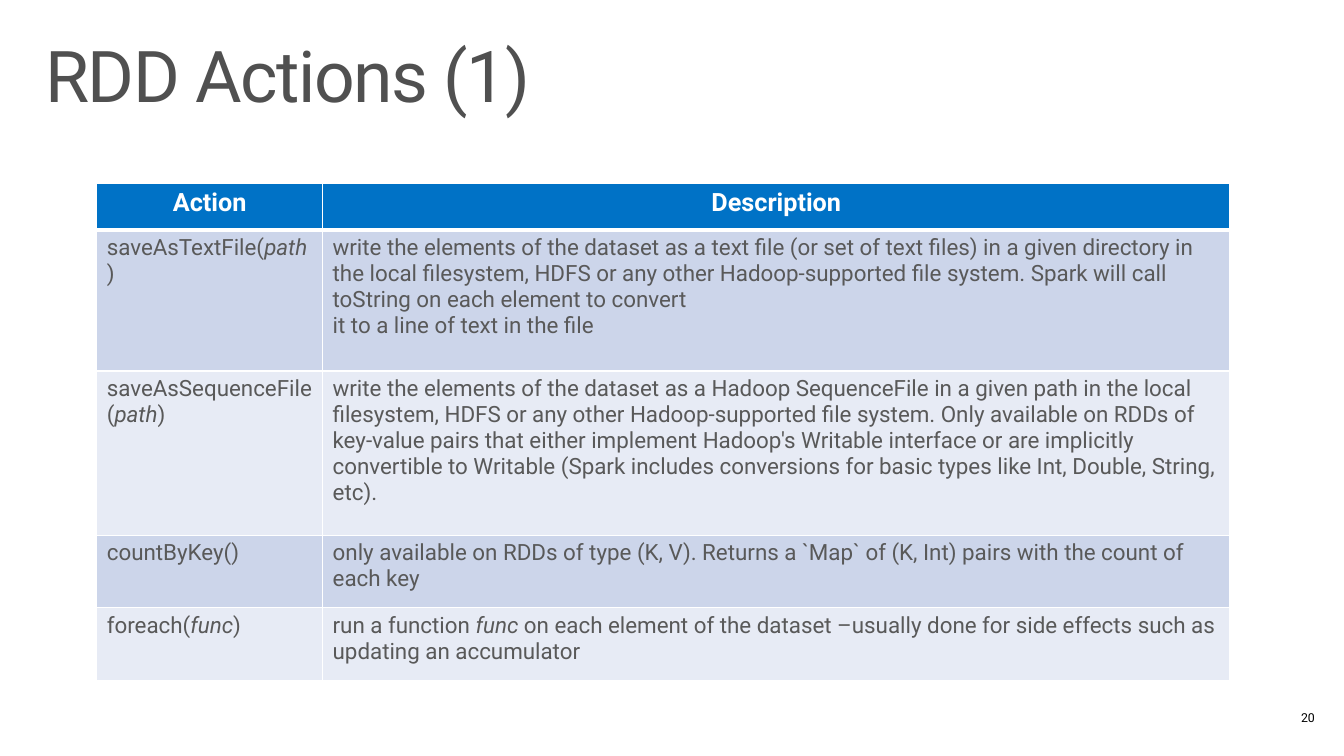
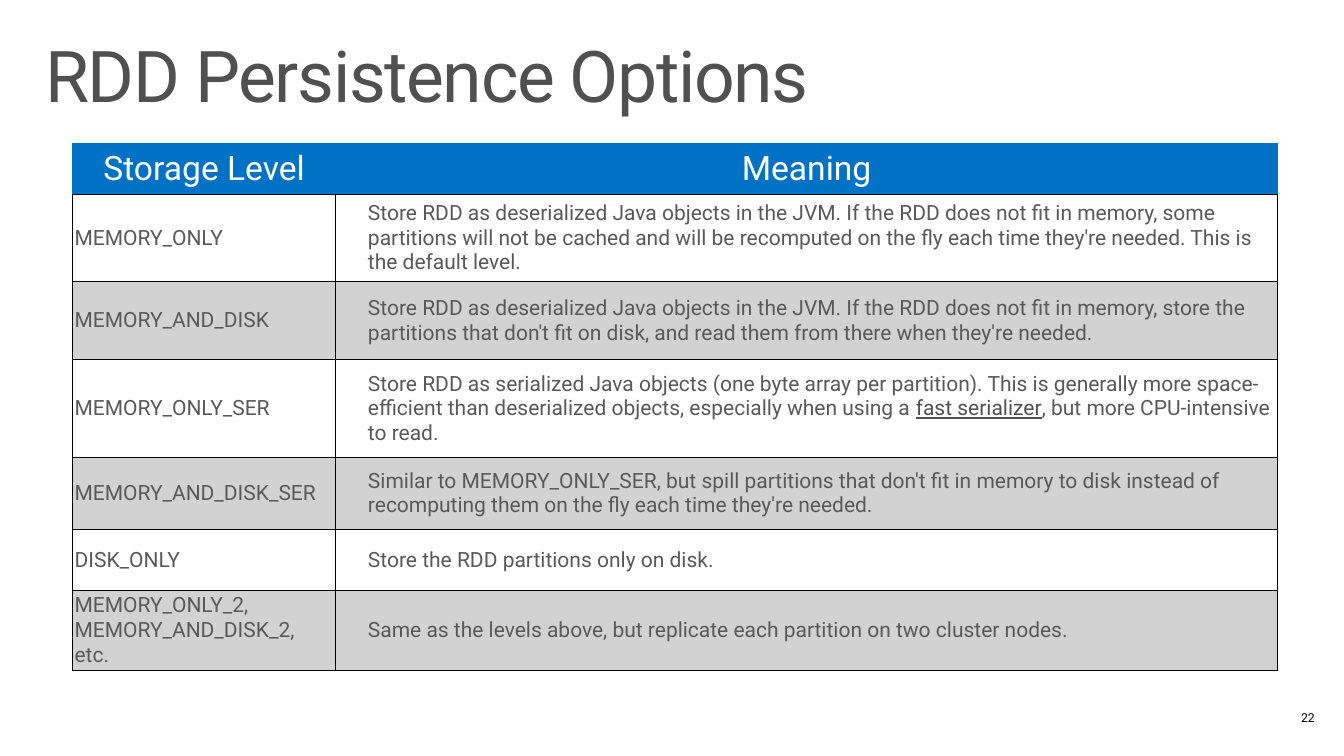
from lxml import etree
from pptx import Presentation
from pptx.dml.color import RGBColor
from pptx.enum.text import MSO_ANCHOR, MSO_AUTO_SIZE, PP_ALIGN
from pptx.oxml.ns import qn
from pptx.util import Inches, Pt

LEFT, CENTER, RIGHT = PP_ALIGN.LEFT, PP_ALIGN.CENTER, PP_ALIGN.RIGHT
TOP, MIDDLE = MSO_ANCHOR.TOP, MSO_ANCHOR.MIDDLE
NO_AUTOFIT = MSO_AUTO_SIZE.NONE
TITLE_ONLY_LAYOUT = 5

FONT = "Roboto"
COLORS = {
    "title": "505050",
    "body": "595959",
    "header": "0072C6",
    "white": "FFFFFF",
    "black": "000000",
    "blue band": "CCD5EA",
    "pale band": "E7EBF5",
    "gray band": "D2D2D2",
}

# Text between bars is emphasised: in italics or underlined, as the slide says.
SLIDES = [
    {
        "title": "RDD Actions (1)",
        "number": "20",
        "position": (0.96, 1.82),
        "columns": [2.24, 9],
        "row_heights": [0.46, 1.4, 1.63, 0.72, 0.72],
        "bands": ["blue band", "pale band"],
        "header_size": 18,
        "header_bold": True,
        "body_size": 16,
        "emphasis": "italic",
        "anchor": TOP,
        "margins": (0.1, 0.05),
        "indent": 0,
        "grid": "white",
        "header_edge": "white",
        "header_rule": ("white", 3),
        "rows": [
            ("Action", "Description"),
            ("saveAsTextFile(|path|)",
             "write the elements of the dataset as a text file (or set of text files) in a "
             "given directory in the local filesystem, HDFS or any other Hadoop-supported "
             "file system. Spark will call toString on each element to convert\n"
             "it to a line of text in the file"),
            ("saveAsSequenceFile(|path|)",
             "write the elements of the dataset as a Hadoop SequenceFile in a given path in "
             "the local filesystem, HDFS or any other Hadoop-supported file system. Only "
             "available on RDDs of key-value pairs that either implement Hadoop's Writable "
             "interface or are implicitly convertible to Writable (Spark includes "
             "conversions for basic types like Int, Double, String, etc)."),
            ("countByKey()",
             "only available on RDDs of type (K, V). Returns a `Map` of (K, Int) pairs with "
             "the count of each key"),
            ("foreach(|func|)",
             "run a function |func |on each element of the dataset –usually done for side "
             "effects such as updating an accumulator"),
        ],
    },
    {
        "title": "RDD Persistence Options",
        "number": "22",
        "position": (0.72, 1.42),
        "columns": [2.61, 9.34],
        "row_heights": [0.51, 0.86, 0.78, 0.97, 0.71, 0.61, 0.75],
        "bands": ["white", "gray band"],
        "header_size": 24,
        "header_bold": False,
        "body_size": 15,
        "emphasis": "underline",
        "anchor": MIDDLE,
        "margins": (0.02, 0.02),
        "indent": 0.3,
        "grid": "black",
        "header_edge": "header",
        "header_rule": ("black", 1),
        "rows": [
            ("Storage Level", "Meaning"),
            ("MEMORY_ONLY",
             "Store RDD as deserialized Java objects in the JVM. If the RDD does not fit in "
             "memory, some partitions will not be cached and will be recomputed on the fly "
             "each time they're needed. This is the default level."),
            ("MEMORY_AND_DISK",
             "Store RDD as deserialized Java objects in the JVM. If the RDD does not fit in "
             "memory, store the partitions that don't fit on disk, and read them from there "
             "when they're needed."),
            ("MEMORY_ONLY_SER",
             "Store RDD as serialized Java objects (one byte array per partition). This is "
             "generally more space-efficient than deserialized objects, especially when "
             "using a |fast serializer|, but more CPU-intensive to read."),
            ("MEMORY_AND_DISK_SER",
             "Similar to MEMORY_ONLY_SER, but spill partitions that don't fit in memory to "
             "disk instead of recomputing them on the fly each time they're needed."),
            ("DISK_ONLY", "Store the RDD partitions only on disk."),
            ("MEMORY_ONLY_2, MEMORY_AND_DISK_2, etc.",
             "Same as the levels above, but replicate each partition on two cluster nodes."),
        ],
    },
]


def set_font(font, size, color, bold=False):
    font.name = FONT
    font.size = Pt(size)
    font.bold = bold
    font.color.rgb = RGBColor.from_string(COLORS[color])


def set_borders(cell, borders):
    """Draw the (color, points) pairs for left, right, top and bottom, in that order."""
    properties = cell._tc.get_or_add_tcPr()
    for index, (side, (color, points)) in enumerate(zip("LRTB", borders)):
        line = etree.Element(qn(f"a:ln{side}"), w=str(Pt(points)))
        fill = etree.SubElement(line, qn("a:solidFill"))
        etree.SubElement(fill, qn("a:srgbClr"), val=COLORS[color])
        properties.insert(index, line)


presentation = Presentation()
presentation.slide_width = Inches(13.33)
presentation.slide_height = Inches(7.5)

for content in SLIDES:
    slide = presentation.slides.add_slide(presentation.slide_layouts[TITLE_ONLY_LAYOUT])

    title = slide.shapes.title
    title.left, title.top = Inches(0.29), Inches(0.31)
    title.width, title.height = Inches(12.74), Inches(1.01)
    title_frame = title.text_frame
    title_frame.text = content["title"]
    title_frame.auto_size = NO_AUTOFIT
    title_frame.vertical_anchor = TOP
    title_frame.margin_left = title_frame.margin_right = Inches(0.16)
    title_frame.margin_top = title_frame.margin_bottom = Inches(0.1)
    paragraph = title_frame.paragraphs[0]
    paragraph.alignment = LEFT
    paragraph.line_spacing = 0.9
    set_font(paragraph.runs[0].font, 51, "title")
    paragraph.runs[0]._r.get_or_add_rPr().set("spc", "-100")

    page_number = slide.shapes.add_textbox(
        Inches(12.43), Inches(7.04), Inches(0.61), Inches(0.15))
    number_frame = page_number.text_frame
    number_frame.text = content["number"]
    number_frame.word_wrap = True
    number_frame.vertical_anchor = MIDDLE
    number_frame.margin_left = Inches(0.1)
    number_frame.margin_right = number_frame.margin_top = number_frame.margin_bottom = 0
    paragraph = number_frame.paragraphs[0]
    paragraph.alignment = RIGHT
    set_font(paragraph.runs[0].font, 8.8, "black")

    left, top = content["position"]
    columns, row_heights = content["columns"], content["row_heights"]
    table = slide.shapes.add_table(
        len(row_heights), len(columns), Inches(left), Inches(top),
        Inches(sum(columns)), Inches(sum(row_heights))).table
    table.horz_banding = False
    for column, width in zip(table.columns, columns):
        column.width = Inches(width)
    for row, height in zip(table.rows, row_heights):
        row.height = Inches(height)

    grid = (content["grid"], 1)
    header_edge = (content["header_edge"], 1)
    header_rule = content["header_rule"]
    horizontal_margin, vertical_margin = content["margins"]

    for row_index, texts in enumerate(content["rows"]):
        is_header = row_index == 0
        if is_header:
            fill, size, color = "header", content["header_size"], "white"
            borders = [header_edge, header_edge, header_edge, header_rule]
        else:
            fill = content["bands"][(row_index - 1) % 2]
            size, color = content["body_size"], "body"
            borders = [grid, grid, header_rule if row_index == 1 else grid, grid]

        for column_index, text in enumerate(texts):
            cell = table.cell(row_index, column_index)
            cell.vertical_anchor = content["anchor"]
            cell.margin_left = cell.margin_right = Inches(horizontal_margin)
            cell.margin_top = cell.margin_bottom = Inches(vertical_margin)
            cell.fill.solid()
            cell.fill.fore_color.rgb = RGBColor.from_string(COLORS[fill])
            set_borders(cell, borders)

            cell.text_frame.text = text
            for paragraph in cell.text_frame.paragraphs:
                pieces = paragraph.text.split("|")
                paragraph.clear()
                paragraph.alignment = CENTER if is_header else LEFT
                if column_index == 1 and not is_header and content["indent"]:
                    paragraph._p.get_or_add_pPr().set("marL", str(Inches(content["indent"])))
                for piece_index, piece in enumerate(pieces):
                    run = paragraph.add_run()
                    run.text = piece
                    set_font(run.font, size, color, is_header and content["header_bold"])
                    if piece_index % 2:
                        setattr(run.font, content["emphasis"], True)
                        if content["emphasis"] == "underline":
                            run.font.color.rgb = RGBColor.from_string(COLORS["title"])

presentation.save("out.pptx")
